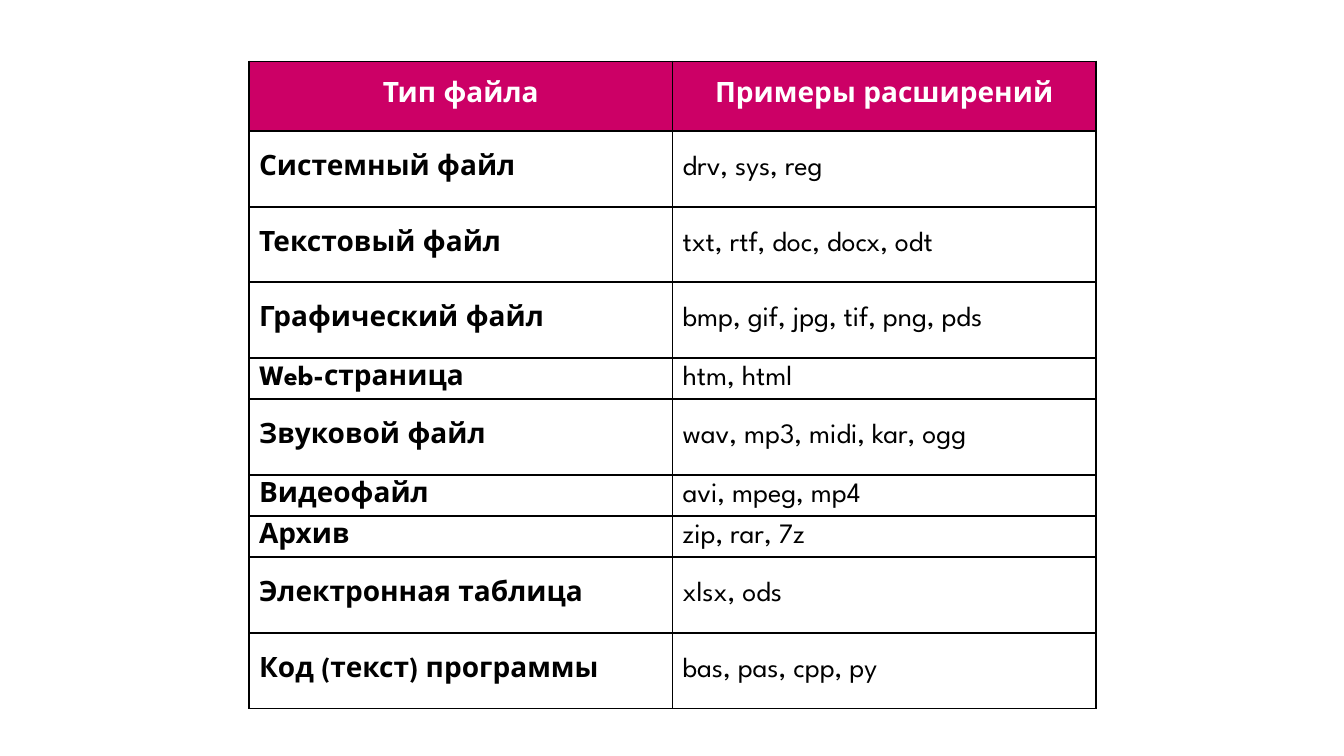
from dataclasses import dataclass

from lxml import etree
from pptx import Presentation
from pptx.dml.color import RGBColor
from pptx.enum.text import MSO_ANCHOR, PP_ALIGN
from pptx.oxml.ns import qn
from pptx.util import Inches, Pt

MIDDLE = MSO_ANCHOR.MIDDLE
CENTER = PP_ALIGN.CENTER
LEFT = PP_ALIGN.LEFT
BLANK_LAYOUT = 6


@dataclass(frozen=True)
class Theme:
    font: str = "League Spartan"
    size: int = 20
    space_before: int = 4
    border_width: float = 1.5
    accent: str = "CC0066"
    light: str = "FFFFFF"
    dark: str = "000000"


THEME = Theme()
HEADER_HEIGHT, TALL_ROW, SHORT_ROW = 0.69, 0.75, 0.41
HEADER = ("Тип файла", "Примеры расширений")
FILE_TYPES = [
    ("Системный файл", "drv, sys, reg", TALL_ROW),
    ("Текстовый файл", "txt, rtf, doc, docx, odt", TALL_ROW),
    ("Графический файл", "bmp, gif, jpg, tif, png, pds", TALL_ROW),
    ("Web-страница", "htm, html", SHORT_ROW),
    ("Звуковой файл", "wav, mp3, midi, kar, ogg", TALL_ROW),
    ("Видеофайл", "avi, mpeg, mp4", SHORT_ROW),
    ("Архив", "zip, rar, 7z", SHORT_ROW),
    ("Электронная таблица", "xlsx, ods", TALL_ROW),
    ("Код (текст) программы", "bas, pas, cpp, py", TALL_ROW),
]


def draw_borders(cell):
    properties = cell._tc.get_or_add_tcPr()
    for position, side in enumerate(("a:lnL", "a:lnR", "a:lnT", "a:lnB")):
        line = etree.Element(qn(side), w=str(Pt(THEME.border_width)))
        fill = etree.SubElement(line, qn("a:solidFill"))
        etree.SubElement(fill, qn("a:srgbClr"), val=THEME.dark)
        properties.insert(position, line)


def fill_cell(cell, text, is_header, is_bold):
    cell.vertical_anchor = MIDDLE
    if is_header:
        cell.fill.solid()
        cell.fill.fore_color.rgb = RGBColor.from_string(THEME.accent)
    else:
        cell.fill.background()
    draw_borders(cell)
    paragraph = cell.text_frame.paragraphs[0]
    paragraph.alignment = CENTER if is_header else LEFT
    paragraph.space_before = Pt(THEME.space_before)
    run = paragraph.add_run()
    run.text = text
    run.font.name = THEME.font
    run.font.size = Pt(THEME.size)
    run.font.bold = is_bold
    run.font.color.rgb = RGBColor.from_string(THEME.light if is_header else THEME.dark)


def add_file_type_table(slide, left, top, width):
    rows = [(*HEADER, HEADER_HEIGHT), *FILE_TYPES]
    height = sum(row_height for *_, row_height in rows)
    box = [Inches(length) for length in (left, top, width, height)]
    table = slide.shapes.add_table(len(rows), len(HEADER), *box).table
    table.horz_banding = False
    for column in table.columns:
        column.width = Inches(width / len(HEADER))
    for row_index, (*texts, row_height) in enumerate(rows):
        table.rows[row_index].height = Inches(row_height)
        is_header = row_index == 0
        for column_index, text in enumerate(texts):
            cell = table.cell(row_index, column_index)
            fill_cell(cell, text, is_header, is_header or column_index == 0)


def main():
    presentation = Presentation()
    presentation.slide_width = Inches(13.33)
    presentation.slide_height = Inches(7.5)
    slide = presentation.slides.add_slide(presentation.slide_layouts[BLANK_LAYOUT])
    add_file_type_table(slide, 2.47, 0.61, 8.4)
    presentation.save("out.pptx")


if __name__ == "__main__":
    main()
